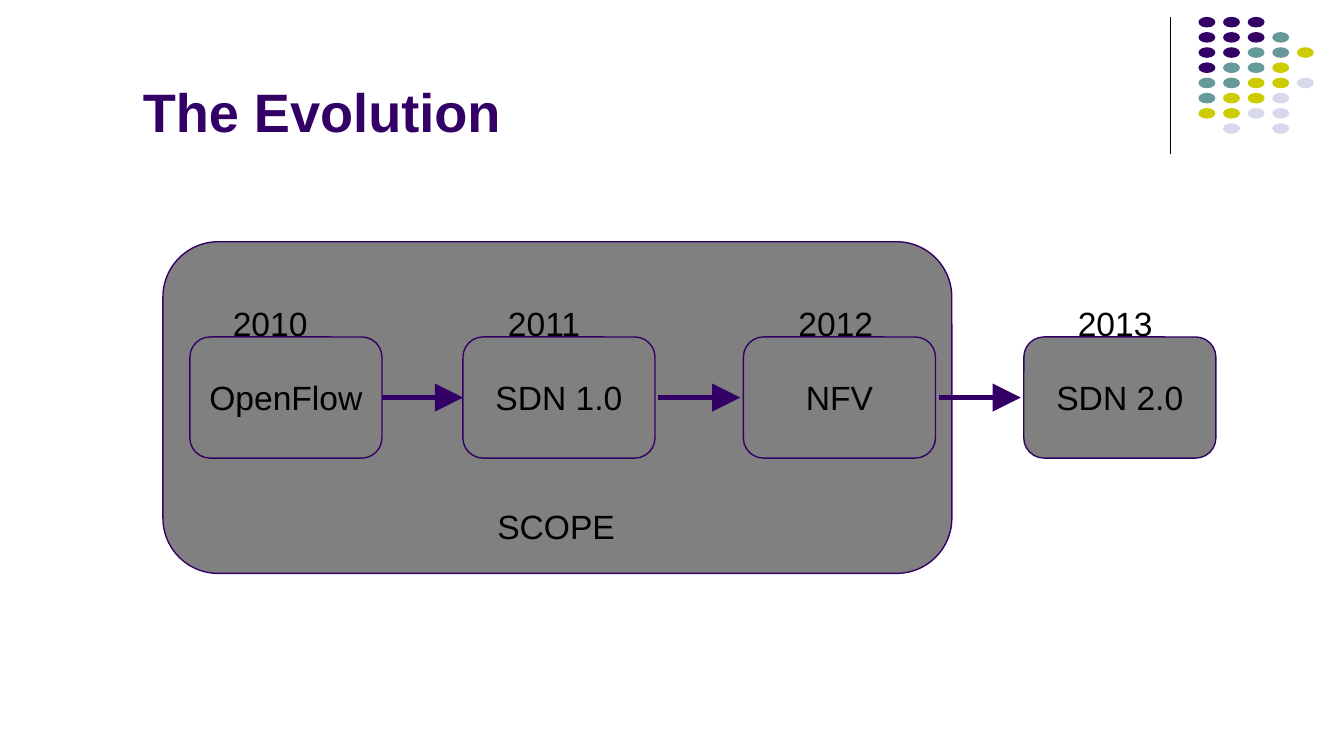
"""Build the slide "The Evolution": a four-step timeline with its scope."""
from lxml import etree
from pptx import Presentation
from pptx.dml.color import RGBColor
from pptx.enum.shapes import MSO_CONNECTOR, MSO_SHAPE
from pptx.enum.text import MSO_ANCHOR, PP_ALIGN
from pptx.oxml.ns import qn
from pptx.util import Cm, Pt

STRAIGHT = MSO_CONNECTOR.STRAIGHT
OVAL, ROUNDED = MSO_SHAPE.OVAL, MSO_SHAPE.ROUNDED_RECTANGLE
LEFT, CENTER = PP_ALIGN.LEFT, PP_ALIGN.CENTER
TOP, MIDDLE = MSO_ANCHOR.TOP, MSO_ANCHOR.MIDDLE
PURPLE, GRAY, BLACK = "330066", "808080", "000000"


def write(sp, text, size=18, color=BLACK, bold=False, align=LEFT, anchor=TOP):
    tf = sp.text_frame
    tf.word_wrap = True
    tf.vertical_anchor = anchor
    tf.margin_left = tf.margin_right = tf.margin_top = tf.margin_bottom = Cm(0.25)
    p = tf.paragraphs[0]
    p.alignment = align
    r = p.add_run()
    r.text = text
    r.font.name, r.font.size, r.font.bold = "Arial", Pt(size), bold
    r.font.color.rgb = RGBColor.from_string(color)


def paint(sp, fill=None, line=None, width=0.75):
    if line:
        sp.line.color.rgb = RGBColor.from_string(line)
        sp.line.width = Pt(width)
    else:
        sp.line.fill.background()
    if fill:
        sp.shadow.inherit = False
        sp.fill.solid()
        sp.fill.fore_color.rgb = RGBColor.from_string(fill)
    else:
        etree.SubElement(sp._element.spPr, qn("a:effectLst"))


prs = Presentation()
prs.slide_width, prs.slide_height = Cm(25.4), Cm(14.29)
s = prs.slides.add_slide(prs.slide_layouts[5])

title = s.shapes.title
title.left, title.top, title.width, title.height = Cm(1.92), Cm(1.23), Cm(8.33), Cm(1.6)
write(title, "The Evolution", size=29, color=PURPLE, bold=True, align=CENTER)

rule = s.shapes.add_connector(STRAIGHT, Cm(22.12), Cm(0.33), Cm(22.12), Cm(2.92))
paint(rule, line=BLACK)

dot_colors = {"P": PURPLE, "T": "669999", "Y": "CCCC00", "L": "D8D8EC"}
dot_rows = ["PPP", "PPPT", "PPTTY", "PTTY", "TTYYL", "TYYL", "YYLL", "-L-L"]
for row, codes in enumerate(dot_rows):
    for col, code in enumerate(codes):
        if code in dot_colors:
            dot = s.shapes.add_shape(OVAL, Cm(22.65 + 1.86 * col / 4),
                                     Cm(0.32 + 2.01 * row / 7), Cm(0.32), Cm(0.2))
            paint(dot, fill=dot_colors[code])

scope = s.shapes.add_shape(ROUNDED, Cm(3.08), Cm(4.57), Cm(14.91), Cm(6.27))
paint(scope, fill=GRAY, line=PURPLE)
write(s.shapes.add_textbox(Cm(9.15), Cm(9.31), Cm(2.97), Cm(1.22)), "SCOPE")

box_top, box_width, box_height = 6.37, 3.63, 2.29
steps = [("OpenFlow", 3.59, "2010", 4.15), ("SDN 1.0", 8.75, "2011", 9.35),
         ("NFV", 14.05, "2012", 14.84), ("SDN 2.0", 19.35, "2013", 20.12)]
boxes = []
for name, left, year, year_left in steps:
    box = s.shapes.add_shape(ROUNDED, Cm(left), Cm(box_top), Cm(box_width), Cm(box_height))
    paint(box, fill=GRAY, line=PURPLE)
    write(box, name, align=CENTER, anchor=MIDDLE)
    write(s.shapes.add_textbox(Cm(year_left), Cm(5.47), Cm(2.15), Cm(0.91)), year)
    boxes.append(box)

mid = Cm(box_top + box_height / 2)
for i, gap in enumerate([0, 0.06, 0.06]):
    start, end = boxes[i], boxes[i + 1]
    arrow = s.shapes.add_connector(STRAIGHT, start.left + start.width + Cm(gap), mid,
                                   end.left - Cm(gap), mid)
    if gap == 0:
        arrow.begin_connect(start, 3)
        arrow.end_connect(end, 1)
    paint(arrow, line=PURPLE, width=3)
    etree.SubElement(arrow._element.spPr.find(qn("a:ln")), qn("a:tailEnd"),
                     type="triangle", w="lg", len="lg")

prs.save("out.pptx")
